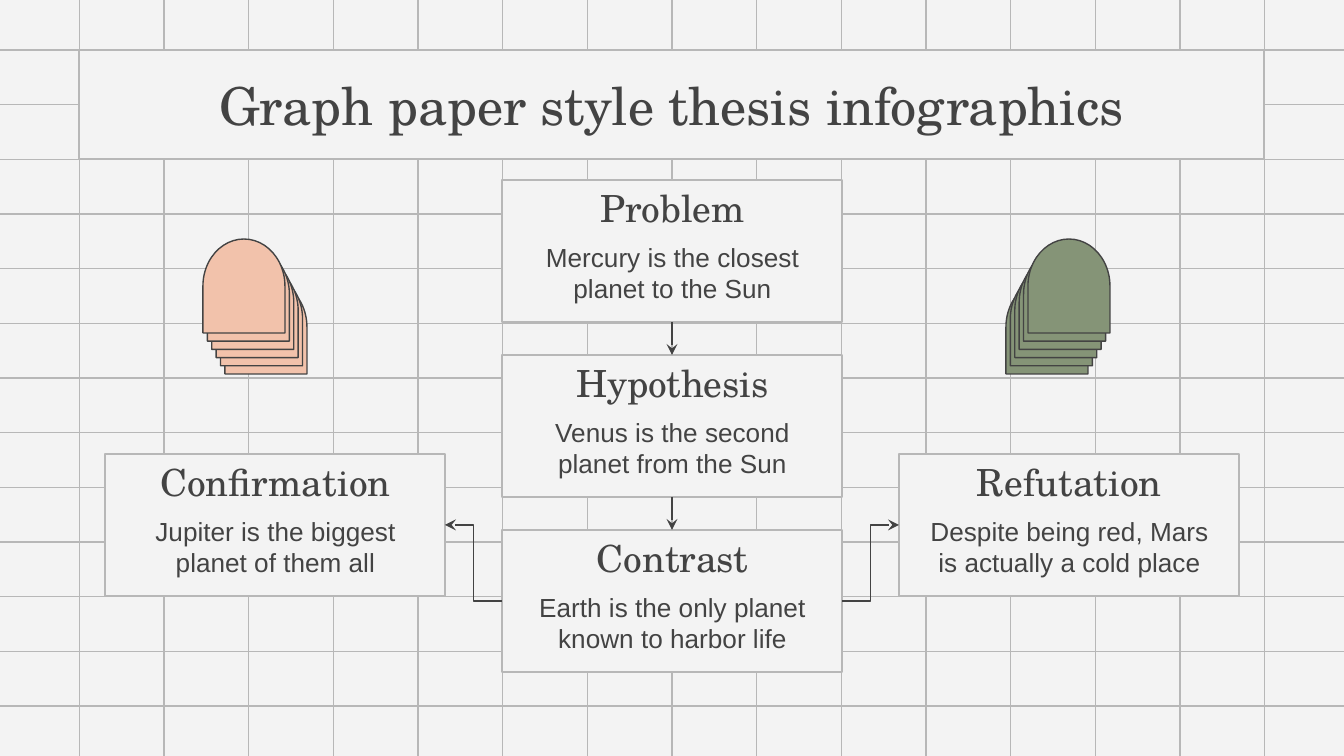
from lxml import etree
from pptx import Presentation
from pptx.dml.color import RGBColor
from pptx.enum.shapes import MSO_CONNECTOR, MSO_SHAPE
from pptx.enum.text import MSO_ANCHOR, PP_ALIGN
from pptx.oxml.ns import qn
from pptx.util import Emu, Pt

STRAIGHT, ELBOW = MSO_CONNECTOR.STRAIGHT, MSO_CONNECTOR.ELBOW
RECT, ARCH = MSO_SHAPE.RECTANGLE, MSO_SHAPE.FLOWCHART_DELAY
TOP, MIDDLE, BOTTOM = MSO_ANCHOR.TOP, MSO_ANCHOR.MIDDLE, MSO_ANCHOR.BOTTOM
CENTER = PP_ALIGN.CENTER
SITE_TOP, SITE_LEFT, SITE_BOTTOM, SITE_RIGHT = range(4)

EMU_PER_PX = 914400 / 134.4
WIDTH, HEIGHT = 1344, 756
CARD_W, CARD_H = 340, 142
COLORS = {
    "paper": "F3F3F3",
    "grid": "B7B7B7",
    "ink": "434343",
    "peach": "F2C2AB",
    "green": "859477",
}
FORMATS = {
    "title": {"name": "TeX Gyre Schola", "size": Pt(28)},
    "heading": {"name": "TeX Gyre Schola", "size": Pt(20)},
    "body": {"name": "Arial", "size": Pt(14)},
}


def px(value):
    return Emu(round(value * EMU_PER_PX))


def color(name):
    return RGBColor.from_string(COLORS[name])


class Sheet:
    """Holds the current slide and the graph paper style."""

    def __init__(self, slide):
        self.slide = slide
        self.shapes = slide.shapes
        fill = slide.background.fill
        fill.solid()
        fill.fore_color.rgb = color("paper")

    def stroke(self, sp, name):
        sp.line.color.rgb = color(name)
        sp.line.width = Pt(0.75)

    def shape(self, kind, x, y, w, h, fill="paper", line="grid"):
        sp = self.shapes.add_shape(kind, px(x), px(y), px(w), px(h))
        sp.shadow.inherit = False
        sp.fill.solid()
        sp.fill.fore_color.rgb = color(fill)
        self.stroke(sp, line)
        return sp

    def label(self, sp, text, style, anchor):
        tf = sp.text_frame
        frame = {"word_wrap": True, "vertical_anchor": anchor}
        for side in ("left", "top", "right", "bottom"):
            frame[f"margin_{side}"] = Pt(7.2)
        for name, value in frame.items():
            setattr(tf, name, value)
        p = tf.paragraphs[0]
        p.alignment = CENTER
        r = p.add_run()
        r.text = text
        for name, value in FORMATS[style].items():
            setattr(r.font, name, value)
        r.font.color.rgb = color("ink")

    def text(self, x, y, w, h, text, style, anchor):
        sp = self.shapes.add_textbox(px(x), px(y), px(w), px(h))
        self.label(sp, text, style, anchor)

    def card(self, x, y, heading, body):
        sp = self.shape(RECT, x, y, CARD_W, CARD_H)
        self.text(x + 10, y + 9, 321, 54, heading, "heading", BOTTOM)
        self.text(x + 10, y + 48, 321, 86, body, "body", TOP)
        return sp

    def line(self, x1, y1, x2, y2, name="grid", kind=STRAIGHT):
        cxn = self.shapes.add_connector(kind, px(x1), px(y1), px(x2), px(y2))
        self.stroke(cxn, name)
        etree.SubElement(cxn.element.spPr, qn("a:effectLst"))
        return cxn

    def arrow(self, start, start_site, end, end_site, kind=STRAIGHT):
        cxn = self.line(0, 0, 0, 0, "ink", kind)
        cxn.begin_connect(start, start_site)
        cxn.end_connect(end, end_site)
        ln = cxn.element.spPr.find(qn("a:ln"))
        etree.SubElement(ln, qn("a:tailEnd"), type="stealth")

    def grid(self):
        """Rules the sheet outwards from its centre."""
        for i in range(-7, 8):
            x = WIDTH / 2 + i * 84.67
            self.line(x, 0, x, HEIGHT)
        for i in range(-6, 7):
            y = HEIGHT / 2 + i * 54.67
            self.line(0, y, WIDTH, y)

    def arch_stack(self, x, y, step, fill):
        """Six upright arches, each one further up and shifted by step."""
        for i in range(6):
            sp = self.shape(ARCH, x + i * step, y - i * 8.2, 94, 82, fill, "ink")
            sp.rotation = 270


def main():
    prs = Presentation()
    prs.slide_width, prs.slide_height = px(WIDTH), px(HEIGHT)
    sheet = Sheet(prs.slides.add_slide(prs.slide_layouts[6]))
    sheet.grid()

    title = sheet.shape(RECT, 79, 50, 1185, 109)
    sheet.label(title, "Graph paper style thesis infographics", "title", MIDDLE)

    steps = [
        ("Problem", "Mercury is the closest planet to the Sun"),
        ("Hypothesis", "Venus is the second planet from the Sun"),
        ("Contrast", "Earth is the only planet known to harbor life"),
    ]
    column = [sheet.card(502, 180 + i * 175, *step) for i, step in enumerate(steps)]
    confirmation = sheet.card(
        105, 454, "Confirmation", "Jupiter is the biggest planet of them all")
    refutation = sheet.card(
        899, 454, "Refutation", "Despite being red, Mars is actually a cold place")

    contrast = column[-1]
    sheet.arrow(contrast, SITE_LEFT, confirmation, SITE_RIGHT, ELBOW)
    sheet.arrow(contrast, SITE_RIGHT, refutation, SITE_LEFT, ELBOW)
    for upper, lower in zip(column, column[1:]):
        sheet.arrow(upper, SITE_BOTTOM, lower, SITE_TOP)

    sheet.arch_stack(219, 286, -4.4, "peach")
    sheet.arch_stack(1000, 286, 4.4, "green")
    prs.save("out.pptx")


if __name__ == "__main__":
    main()
